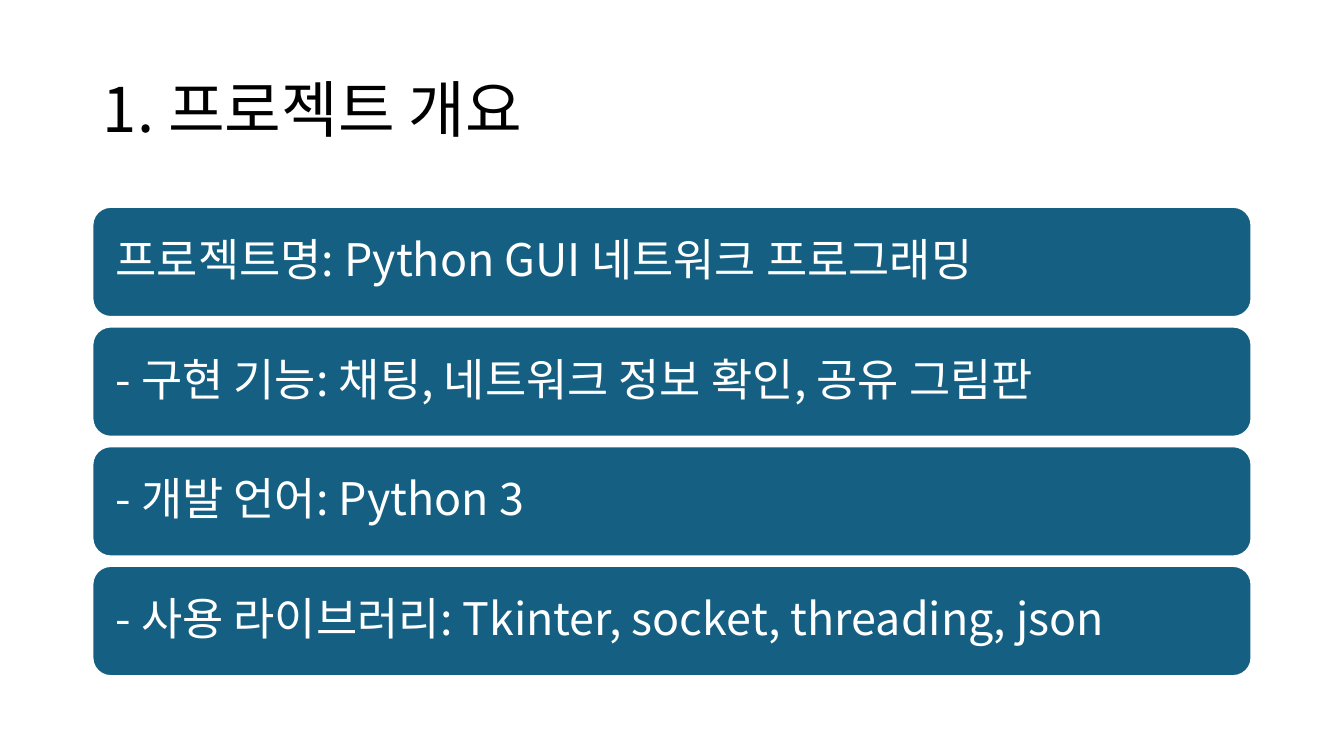
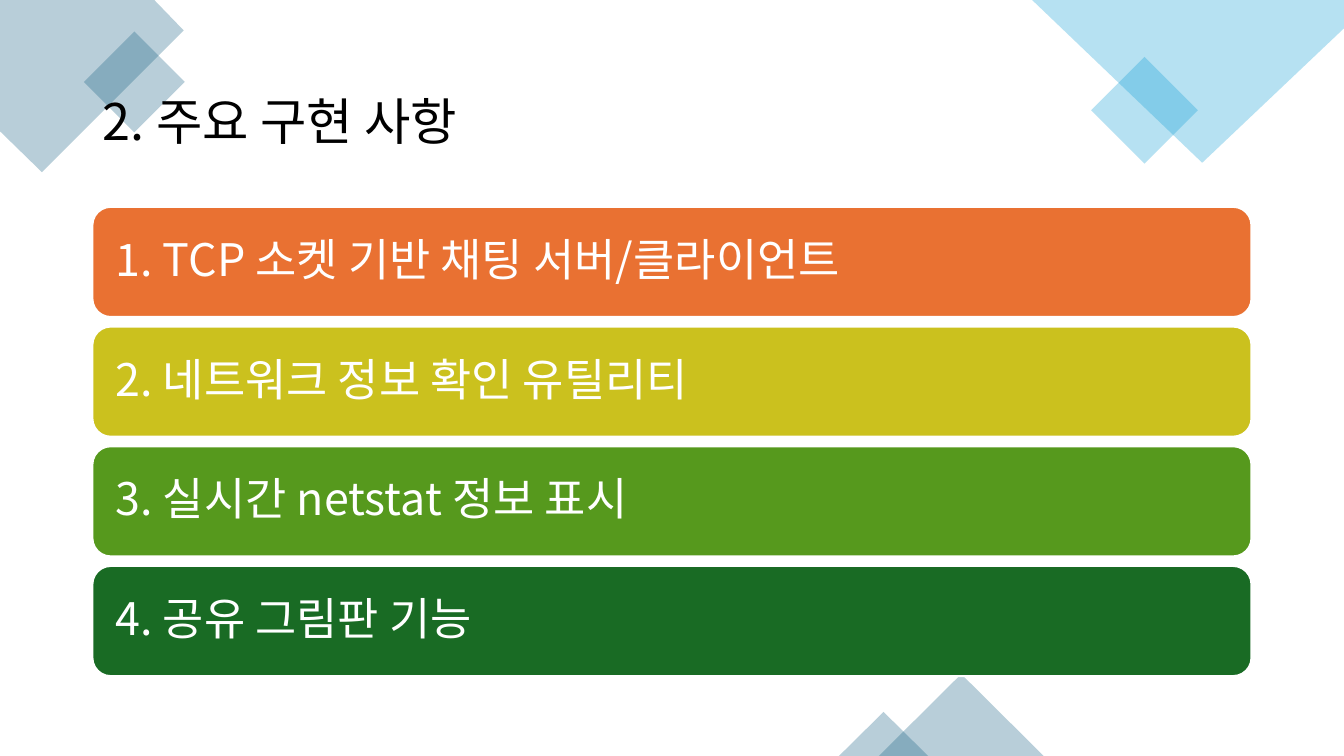
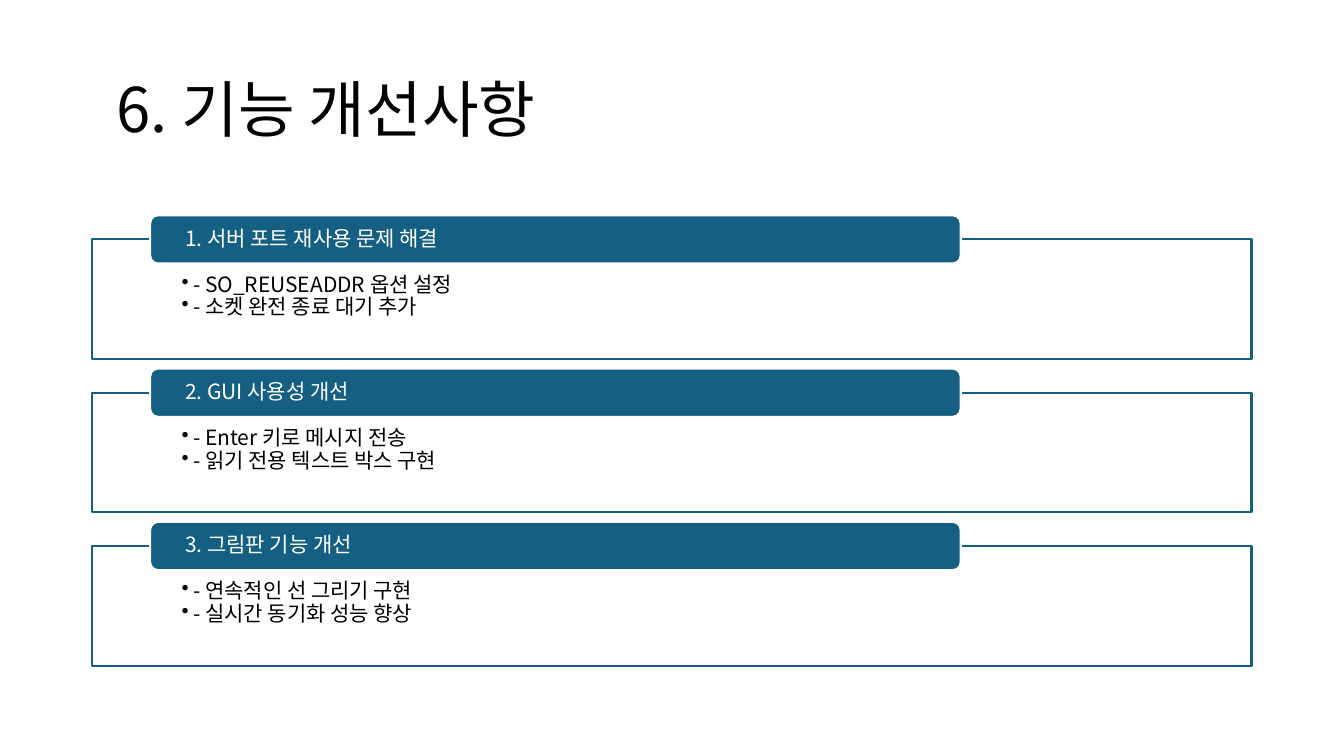
from lxml import etree
from pptx import Presentation
from pptx.dml.color import RGBColor
from pptx.enum.shapes import MSO_SHAPE as Kind
from pptx.enum.text import MSO_ANCHOR as Anchor
from pptx.oxml.ns import qn
from pptx.util import Emu, Pt

SCALE = 9525  # EMU in one px
FONT = "Noto Sans CJK KR"
BLACK = RGBColor(0x00, 0x00, 0x00)
WHITE = RGBColor(0xFF, 0xFF, 0xFF)
TEAL = RGBColor(0x15, 0x60, 0x82)
SKY = RGBColor(0x0F, 0x9E, 0xD5)
ORANGE = RGBColor(0xE9, 0x71, 0x32)
OLIVE = RGBColor(0xCB, 0xC1, 0x1E)
LEAF = RGBColor(0x56, 0x99, 0x1D)
FOREST = RGBColor(0x19, 0x6B, 0x24)

LEFT, WIDTH = 88, 1104  # content column


def px(*nums):
    return [Emu(n * SCALE) for n in nums]


def paint(shape, fill, line=None, alpha=100):
    shape.shadow.inherit = False
    shape.fill.solid()
    shape.fill.fore_color.rgb = fill
    if alpha < 100:
        tint = shape.fill._xPr.find(qn("a:solidFill"))[0]
        etree.SubElement(tint, qn("a:alpha")).set("val", str(alpha * 1000))
    if line is None:
        shape.line.fill.background()
    else:
        shape.line.color.rgb = line
        shape.line.width = Pt(1.5)


def add_box(slide, kind, box, fill, line=None, alpha=100):
    shape = slide.shapes.add_shape(kind, *px(*box))
    paint(shape, fill, line, alpha)
    return shape


def write(shape, lines, size, color, pad, anchor=Anchor.MIDDLE, hang=0):
    """Fill a shape with lines; pad is left, top, right, bottom."""
    frame = shape.text_frame
    frame.word_wrap = True
    frame.vertical_anchor = anchor
    (frame.margin_left, frame.margin_top,
     frame.margin_right, frame.margin_bottom) = px(*pad)
    for i, line in enumerate(lines):
        para = frame.add_paragraph() if i else frame.paragraphs[0]
        para.text = line
        para.line_spacing = 0.9
        props = para._p.get_or_add_pPr()
        props.set("algn", "l")
        if hang:
            props.set("marL", str(hang * SCALE))
            props.set("indent", str(-hang * SCALE))
            etree.SubElement(props, qn("a:buChar")).set("char", "•")
        font = para.font
        font.size = Pt(size)
        font.color.rgb = color
        font.name = FONT
        etree.SubElement(font._rPr, qn("a:ea")).set("typeface", FONT)


def add_title(slide, text, top=38, size=44, inset=10):
    box = slide.shapes.add_textbox(*px(LEFT, top, WIDTH, 177 - top))
    write(box, [text], size, BLACK, (inset, 5, 10, 5))


# Stack of full-width bars
def add_bars(slide, items, left=LEFT, top=197, width=WIDTH):
    for i, (text, fill) in enumerate(items):
        box = (left, top + 114 * i, width, 105)
        bar = add_box(slide, Kind.ROUNDED_RECTANGLE, box, fill, WHITE)
        write(bar, [text], 32, WHITE, (17, 17, 17, 17))


# Framed list with a tab over its top edge
def add_panel(slide, left, top, width, head, points):
    frame = add_box(slide, Kind.RECTANGLE, (left, top + 23, width, 114),
                    WHITE, TEAL, 90)
    write(frame, points, 15, BLACK, (85, 33, 85, 11), Anchor.TOP, hang=11)
    tab = add_box(slide, Kind.ROUNDED_RECTANGLE,
                  (left + 55, top, width * 7 // 10, 46), TEAL, WHITE)
    write(tab, [head], 15, WHITE, (31, 0, 31, 0))


# Translucent diamonds at the slide edges
def add_decor(slide):
    corners = [
        ([(0, 0), (147, 0), (175, 29), (40, 164), (0, 125)], TEAL),
        ([(983, 0), (1280, 0), (1280, 27), (1145, 155)], SKY),
    ]
    for points, fill in corners:
        path = slide.shapes.build_freeform(*points[0], scale=SCALE)
        path.add_line_segments(points[1:], close=True)
        paint(path.convert_to_shape(), fill, alpha=30)
    for box, fill in [((94, 44, 68, 68), TEAL), ((1054, 69, 72, 72), SKY)]:
        add_box(slide, Kind.RECTANGLE, box, fill, alpha=30).rotation = 315
    for box in [(837, 642, 157, 78), (799, 678, 85, 42)]:
        add_box(slide, Kind.ISOSCELES_TRIANGLE, box, TEAL, alpha=30)


def build_intro(slide):
    add_title(slide, "1. 프로젝트 개요")
    lines = [
        "프로젝트명: Python GUI 네트워크 프로그래밍",
        "- 구현 기능: 채팅, 네트워크 정보 확인, 공유 그림판",
        "- 개발 언어: Python 3",
        "- 사용 라이브러리: Tkinter, socket, threading, json",
    ]
    add_bars(slide, [(line, TEAL) for line in lines])


def build_scope(slide):
    add_decor(slide)
    add_title(slide, "2. 주요 구현 사항", top=59, size=36)
    add_bars(slide, [
        ("1. TCP 소켓 기반 채팅 서버/클라이언트", ORANGE),
        ("2. 네트워크 정보 확인 유틸리티", OLIVE),
        ("3. 실시간 netstat 정보 표시", LEAF),
        ("4. 공유 그림판 기능", FOREST),
    ])


def build_fixes(slide):
    add_title(slide, "6. 기능 개선사항", inset=23)
    panels = [
        ("1. 서버 포트 재사용 문제 해결",
         ["- SO_REUSEADDR 옵션 설정", "- 소켓 완전 종료 대기 추가"]),
        ("2. GUI 사용성 개선",
         ["- Enter 키로 메시지 전송", "- 읽기 전용 텍스트 박스 구현"]),
        ("3. 그림판 기능 개선",
         ["- 연속적인 선 그리기 구현", "- 실시간 동기화 성능 향상"]),
    ]
    for i, (head, points) in enumerate(panels):
        add_panel(slide, LEFT, 205 + 146 * i, WIDTH, head, points)


def main():
    deck = Presentation()
    deck.slide_width, deck.slide_height = px(1280, 720)
    for build in (build_intro, build_scope, build_fixes):
        build(deck.slides.add_slide(deck.slide_layouts[6]))
    deck.save("out.pptx")


if __name__ == "__main__":
    main()
